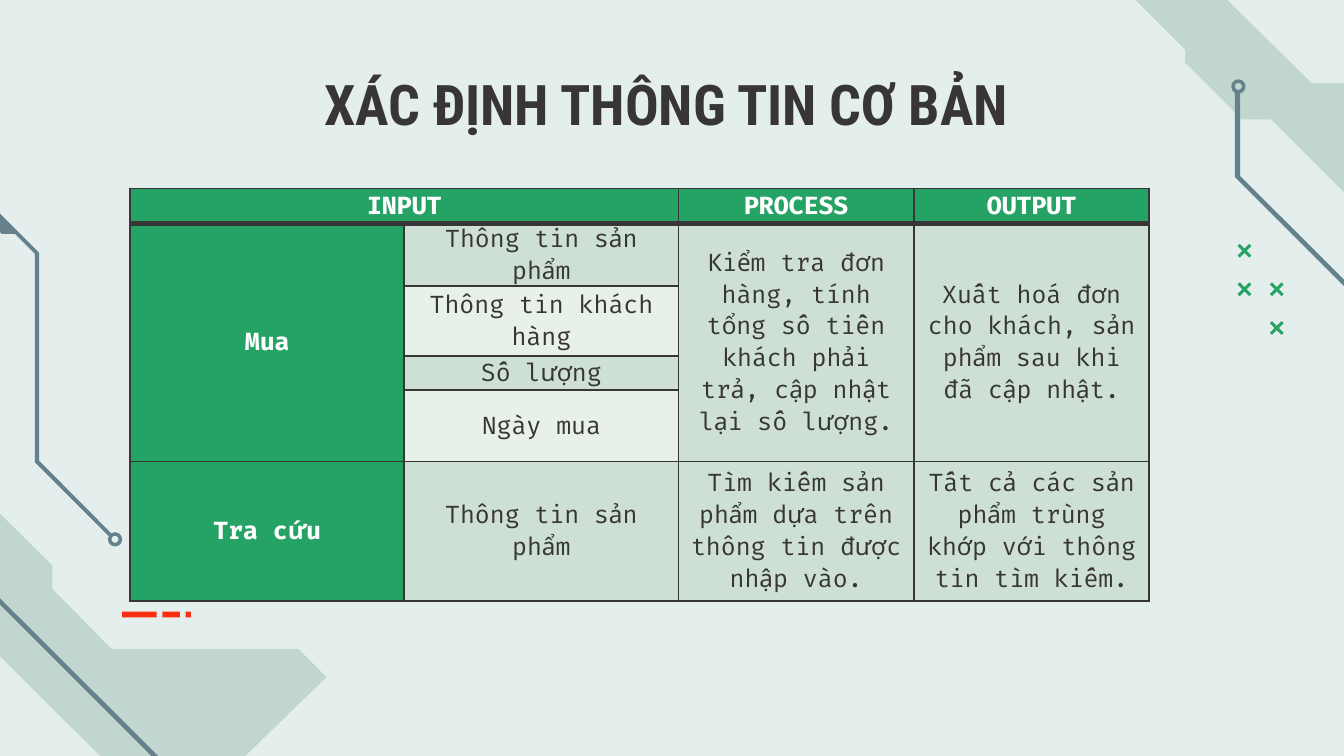
from lxml import etree
from pptx import Presentation
from pptx.dml.color import RGBColor
from pptx.enum.shapes import MSO_SHAPE
from pptx.enum.text import MSO_ANCHOR, PP_ALIGN
from pptx.oxml.ns import qn
from pptx.util import Cm, Pt

RECTANGLE, DONUT = MSO_SHAPE.RECTANGLE, MSO_SHAPE.DONUT
TOP, MIDDLE = MSO_ANCHOR.TOP, MSO_ANCHOR.MIDDLE
CENTER = PP_ALIGN.CENTER

COLORS = {
    "background": "E3EEED", "panel": "C1D6CE", "trace": "64818C",
    "green": "24A364", "red": "FC2E12", "ink": "383536",
    "white": "FFFFFF", "light": "CDE0D3", "pale": "E8F0EA",
}

# Outlines in centimetres
TOP_PANEL = [
    (14.96, -6.58), (14.91, -6.55), (22.4, 0.94), (22.4, 1.19), (23.47, 2.26),
    (24.03, 2.26), (25.5, 3.73), (27.23, 3.73), (34.77, 11.28), (34.82, 11.25),
    (26.62, 3.05), (26.62, 2.62), (25.58, 1.57), (24.79, 1.57), (22.96, -0.23),
    (21.31, -0.23),
]
BOTTOM_PANEL = [
    (-6.91, 2.79), (-6.96, 2.84), (-0.13, 9.68), (-0.13, 12.27), (1.98, 14.38),
    (4.19, 16.59), (10.54, 22.94), (10.59, 22.89), (4.42, 16.71), (4.42, 14.5),
    (6.17, 12.8), (5.64, 12.27), (2.11, 12.27), (0.99, 11.13), (0.99, 10.69),
    (-0.13, 9.58),
]
CORNER_TRACE = [
    (23.34, 1.7), (23.34, 3.35), (26.59, 6.6), (26.59, 7.57),
    (26.67, 7.57), (26.67, 6.55), (23.44, 3.33), (23.44, 1.7),
]
LEFT_TRACE = [
    (-4.22, 1.32), (-4.22, 2.95), (-1.19, 2.95), (0.66, 4.8), (0.66, 8.74),
    (2.08, 10.16), (2.13, 10.11), (0.74, 8.71), (0.74, 4.78), (-1.14, 2.9),
    (-1.17, 2.87), (-4.14, 2.87), (-4.14, 1.32),
]
LEFT_WEDGE = [
    (-0.76, 3.3), (-0.76, 3.63), (-0.38, 4.01), (0.03, 4.42), (0.33, 4.42),
    (-0.2, 3.86),
]
CROSS_BAR = [(-0.13, 0.09), (0.09, -0.13), (0.13, -0.09), (-0.09, 0.13)]
CROSS_GRID = [(0, 0), (0, 1), (1, 1), (1, 2)]
DASHES = [(2.31, 0.65), (3.07, 0.33), (3.51, 0.1)]

COLUMN_WIDTHS = [5.18, 5.18, 4.45, 4.45]
ROW_HEIGHTS = [0.66, 1.19, 1.32, 0.64, 1.35, 2.64]
CELL_TEXTS = [
    ["INPUT", "", "PROCESS", "OUTPUT"],
    ["Mua", "Thông tin sản phẩm",
     "Kiểm tra đơn hàng, tính tổng số tiền khách phải trả, cập nhật lại số lượng.",
     "Xuất hoá đơn cho khách, sản phẩm sau khi đã cập nhật."],
    ["", "Thông tin khách hàng", "", ""],
    ["", "Số lượng", "", ""],
    ["", "Ngày mua", "", ""],
    ["Tra cứu", "Thông tin sản phẩm",
     "Tìm kiếm sản phẩm dựa trên thông tin được nhập vào.",
     "Tất cả các sản phẩm trùng khớp với thông tin tìm kiếm."],
]


def rgb(color):
    return RGBColor.from_string(COLORS[color])


def paint(shape, color):
    shape.shadow.inherit = False
    shape.fill.solid()
    shape.fill.fore_color.rgb = rgb(color)
    shape.line.fill.background()


def add_outline(slide, points, color, dx=0, dy=0):
    """Draw a filled polygon, moved by dx and dy centimetres."""
    corners = [(Cm(x + dx), Cm(y + dy)) for x, y in points]
    builder = slide.shapes.build_freeform(*corners[0])
    builder.add_line_segments(corners[1:], close=True)
    paint(builder.convert_to_shape(), color)


def add_preset(slide, kind, left, top, width, height, color):
    shape = slide.shapes.add_shape(kind, Cm(left), Cm(top), Cm(width), Cm(height))
    paint(shape, color)
    return shape


def add_node(slide, left, top):
    """Draw the ring that ends a circuit trace."""
    node = add_preset(slide, DONUT, left, top, 0.27, 0.27, "trace")
    node.adjustments[0] = 0.25


def add_cross(slide, x, y):
    add_outline(slide, CROSS_BAR, "green", x, y)
    add_outline(slide, [(-px, py) for px, py in CROSS_BAR], "green", x, y)


def write(paragraph, text, font, size, color, bold):
    paragraph.alignment = CENTER
    run = paragraph.add_run()
    run.text = text
    run.font.name = font
    run.font.size = Pt(size)
    run.font.bold = bold
    run.font.color.rgb = rgb(color)


def add_title(slide, text):
    title = slide.shapes.add_textbox(Cm(2.01), Cm(1.07), Cm(21.41), Cm(1.65))
    frame = title.text_frame
    frame.word_wrap = True
    frame.vertical_anchor = TOP
    frame.margin_left = frame.margin_right = Cm(0.25)
    frame.margin_top = frame.margin_bottom = Cm(0.25)
    write(frame.paragraphs[0], text, "Roboto Condensed", 30, "ink", True)


def set_borders(cell, top, bottom):
    """Rule all four sides; top and bottom are widths in points."""
    properties = cell._tc.get_or_add_tcPr()
    for side, width in (("L", 1), ("R", 1), ("T", top), ("B", bottom)):
        line = etree.SubElement(properties, qn(f"a:ln{side}"), w=str(Pt(width)))
        fill = etree.SubElement(line, qn("a:solidFill"))
        etree.SubElement(fill, qn("a:srgbClr"), val=COLORS["ink"])


def add_info_table(slide):
    frame = slide.shapes.add_table(
        len(ROW_HEIGHTS), len(COLUMN_WIDTHS), Cm(2.46), Cm(3.56),
        Cm(sum(COLUMN_WIDTHS)), Cm(sum(ROW_HEIGHTS)))
    table = frame.table
    table.horz_banding = False
    for column, width in zip(table.columns, COLUMN_WIDTHS):
        column.width = Cm(width)
    for row, height in zip(table.rows, ROW_HEIGHTS):
        row.height = Cm(height)

    for r, texts in enumerate(CELL_TEXTS):
        for c, text in enumerate(texts):
            cell = table.cell(r, c)
            heading = r == 0 or c == 0
            set_borders(cell, 3 if r == 1 else 1, 3 if r == 0 else 1)
            cell.fill.solid()
            body = "pale" if c == 1 and r in (2, 4) else "light"
            cell.fill.fore_color.rgb = rgb("green" if heading else body)
            cell.vertical_anchor = MIDDLE
            cell.margin_left = cell.margin_right = Cm(0.18)
            cell.margin_top = cell.margin_bottom = 0
            if text:
                paragraph = cell.text_frame.paragraphs[0]
                paragraph.line_spacing = 1.07
                write(paragraph, text, "Fira Code", 13,
                      "white" if heading else "ink", heading)

    table.cell(0, 0).merge(table.cell(0, 1))
    for c in (0, 2, 3):
        table.cell(1, c).merge(table.cell(4, c))


def add_decoration(slide):
    add_outline(slide, TOP_PANEL, "panel")
    for column, row in CROSS_GRID:
        add_cross(slide, 23.52 + 0.61 * column, 4.74 + 0.73 * row)
    add_outline(slide, CORNER_TRACE, "trace")
    add_node(slide, 23.27, 1.5)

    for left, width in DASHES:
        add_preset(slide, RECTANGLE, left, 11.56, width, 0.11, "red")
    add_outline(slide, LEFT_TRACE, "trace")
    add_outline(slide, LEFT_WEDGE, "trace")
    add_node(slide, 2.04, 10.06)
    add_outline(slide, BOTTOM_PANEL, "panel")
    add_outline(slide, CORNER_TRACE, "trace", -23.67, 7.75)


def main():
    deck = Presentation()
    deck.slide_width, deck.slide_height = Cm(25.4), Cm(14.29)
    slide = deck.slides.add_slide(deck.slide_layouts[6])
    slide.background.fill.solid()
    slide.background.fill.fore_color.rgb = rgb("background")
    add_decoration(slide)
    add_title(slide, "XÁC ĐỊNH THÔNG TIN CƠ BẢN ")
    add_info_table(slide)
    deck.save("out.pptx")


if __name__ == "__main__":
    main()
